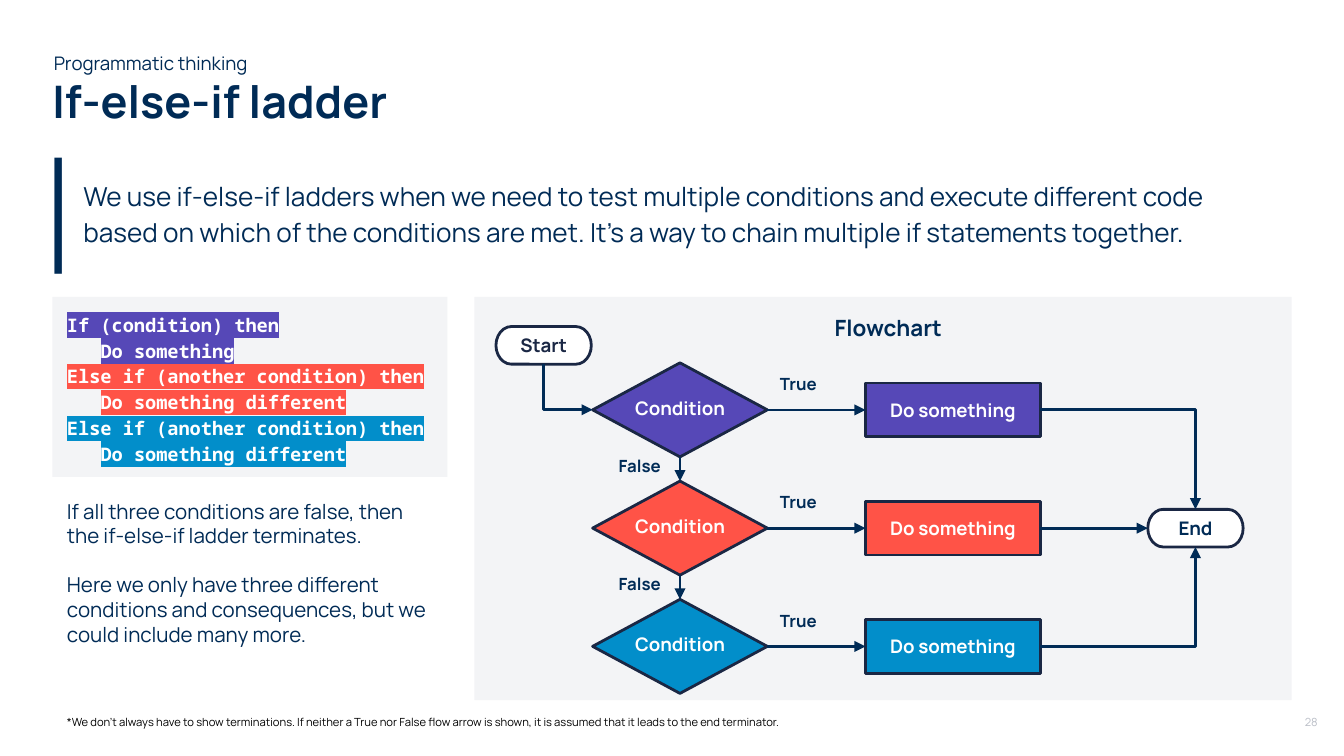
from pptx import Presentation
from pptx.dml.color import RGBColor
from pptx.enum.shapes import MSO_CONNECTOR as Route, MSO_SHAPE as Shape
from pptx.enum.text import MSO_ANCHOR as Anchor, MSO_AUTO_SIZE as AutoSize, PP_ALIGN as Align
from pptx.oxml.ns import qn
from pptx.util import Inches, Pt
from lxml.etree import SubElement

NAVY = RGBColor(0x00, 0x2B, 0x56)
INK = RGBColor(0x1A, 0x27, 0x44)
PURPLE = RGBColor(0x56, 0x48, 0xB7)
CORAL = RGBColor(0xFF, 0x53, 0x47)
BLUE = RGBColor(0x02, 0x8E, 0xCA)
PANEL = RGBColor(0xF3, 0xF4, 0xF6)
GREY = RGBColor(0xBA, 0xBE, 0xC7)
WHITE = RGBColor(0xFF, 0xFF, 0xFF)
BLACK = RGBColor(0x00, 0x00, 0x00)

TOP, LEFT, BOTTOM, RIGHT = range(4)
ROW_STEP = 0.88
ELSE_IF = "Else if (another condition) then\vDo something different"
CODE = [
    ("If (condition) then", PURPLE, -0.25),
    ("Do something", PURPLE, 0),
    (ELSE_IF, CORAL, -0.25),
    (ELSE_IF, BLUE, -0.25),
]


def write(frame, text, size=10, color=NAVY, bold=False, font="Manrope", align=Align.LEFT,
          spacing=1.0, before=0, after=0, margin=0, indent=0, highlight=None):
    paragraph = frame.paragraphs[0]
    if paragraph.runs:
        paragraph = frame.add_paragraph()
    paragraph.text = text
    paragraph.alignment = align
    paragraph.line_spacing = spacing
    paragraph.space_before, paragraph.space_after = Pt(before), Pt(after)
    properties = paragraph._p.get_or_add_pPr()
    properties.set("marL", str(Inches(margin)))
    properties.set("indent", str(Inches(indent)))
    SubElement(properties, qn("a:buNone"))
    for line_break in paragraph._p.findall(qn("a:br")):
        SubElement(line_break, qn("a:rPr")).set("sz", str(size * 100))
    for run in paragraph.runs:
        run.font.size, run.font.bold, run.font.name = Pt(size), bold, font
        run.font.color.rgb = color
        if highlight is not None:
            marker = SubElement(run._r.rPr, qn("a:highlight"))
            SubElement(marker, qn("a:srgbClr")).set("val", str(highlight))
            run._r.rPr.find(qn("a:solidFill")).addnext(marker)


def set_frame(frame, anchor=Anchor.TOP, insets=(0.1, 0.1, 0.1, 0.1)):
    frame.word_wrap = True
    frame.auto_size = AutoSize.NONE
    frame.vertical_anchor = anchor
    (frame.margin_left, frame.margin_top,
     frame.margin_right, frame.margin_bottom) = map(Inches, insets)
    return frame


def add_text(slide, box, anchor=Anchor.TOP, insets=(0.1, 0.1, 0.1, 0.1)):
    return set_frame(slide.shapes.add_textbox(*map(Inches, box)).text_frame, anchor, insets)


def fill_placeholder(placeholder, box, text, anchor, insets, **style):
    placeholder.left, placeholder.top, placeholder.width, placeholder.height = map(Inches, box)
    write(set_frame(placeholder.text_frame, anchor, insets), text, **style)


def add_block(slide, kind, box, fill, outline=None, text=None, color=WHITE):
    block = slide.shapes.add_shape(kind, *map(Inches, box))
    block.shadow.inherit = False
    block.fill.solid()
    block.fill.fore_color.rgb = fill
    if outline is None:
        block.line.fill.background()
    else:
        block.line.color.rgb = outline
        block.line.width = Pt(1.5)
    if text:
        frame = set_frame(block.text_frame, Anchor.MIDDLE)
        write(frame, text, color=color, bold=True, align=Align.CENTER)
    return block


def add_label(slide, box, text, size=9, color=NAVY):
    write(add_text(slide, box), text, size=size, color=color, bold=True, align=Align.CENTER)


def link(slide, start, start_side, end, end_side, bent=False, arrow="tailEnd"):
    route = Route.ELBOW if bent else Route.STRAIGHT
    flow = slide.shapes.add_connector(route, 0, 0, 0, 0)
    flow.begin_connect(start, start_side)
    flow.end_connect(end, end_side)
    flow.line.color.rgb = NAVY
    flow.line.width = Pt(1.5)
    properties = flow._element.spPr
    if bent:
        properties.find(qn("a:prstGeom")).set("prst", "bentConnector2")
    SubElement(properties.find(qn("a:ln")), qn(f"a:{arrow}")).set("type", "triangle")
    SubElement(properties, qn("a:effectLst"))


def add_heading(slide):
    subtitle, definition = list(slide.placeholders)[1:3]
    fill_placeholder(slide.shapes.title, (0.39, 0.55, 9.21, 0.39), "If-else-if ladder",
                     Anchor.TOP, (0, 0, 0, 0), size=24, bold=True)
    fill_placeholder(subtitle, (0.4, 0.39, 9.21, 0.16), "Programmatic thinking",
                     Anchor.MIDDLE, (0, 0.1, 0.1, 0.1))
    fill_placeholder(
        definition, (0.47, 1.14, 9.13, 0.87),
        "We use if-else-if ladders when we need to test multiple conditions and execute "
        "different code based on which of the conditions are met. It’s a way to chain "
        "multiple if statements together.",
        Anchor.MIDDLE, (0.15, 0.1, 0.1, 0.1), size=14, spacing=1.15, after=12)
    accent = add_text(slide, (0.32, 0.98, 0.2, 1.2), Anchor.MIDDLE, (0, 0.1, 0, 0.1))
    write(accent, "|", size=52, font="Inter")


def add_code(slide):
    add_block(slide, Shape.RECTANGLE, (0.39, 2.21, 2.94, 1.34), PANEL)
    listing = add_text(slide, (0.4, 2.21, 3.09, 1.34))
    for text, highlight, indent in CODE:
        write(listing, text, color=WHITE, bold=True, font="Noto Sans Mono",
              spacing=1.15, margin=0.25, indent=indent, highlight=highlight)


def add_explanation(slide):
    explanation = add_text(slide, (0.4, 3.61, 2.94, 1.31))
    write(explanation, "If all three conditions are false, then the if-else-if ladder terminates.",
          size=11)
    write(explanation, "Here we only have three different conditions and consequences, "
          "but we could include many more.", size=11, before=13)


def add_flowchart(slide):
    add_block(slide, Shape.RECTANGLE, (3.53, 2.21, 6.08, 3), PANEL)
    add_label(slide, (5.17, 2.24, 2.88, 0.4), "Flowchart", size=12)
    start = add_block(slide, Shape.FLOWCHART_TERMINATOR, (3.69, 2.43, 0.71, 0.28),
                      WHITE, INK, "Start", INK)
    end = add_block(slide, Shape.FLOWCHART_TERMINATOR, (8.54, 3.79, 0.71, 0.28),
                    WHITE, INK, "End", NAVY)
    conditions, actions = [], []
    for row, color in enumerate((PURPLE, CORAL, BLUE)):
        drop = row * ROW_STEP
        condition = add_block(slide, Shape.FLOWCHART_DECISION, (4.41, 2.7 + drop, 1.3, 0.7),
                              color, INK)
        action = add_block(slide, Shape.RECTANGLE, (6.44, 2.85 + drop, 1.3, 0.4),
                           color, INK, "Do something")
        add_label(slide, (4.47, 2.85 + drop, 1.18, 0.37), "Condition", size=10, color=WHITE)
        add_label(slide, (5.63, 2.68 + drop, 0.62, 0.35), "True")
        link(slide, condition, RIGHT, action, LEFT)
        if conditions:
            add_label(slide, (4.47, 2.41 + drop, 0.58, 0.35), "False")
            link(slide, conditions[-1], BOTTOM, condition, TOP)
        conditions.append(condition)
        actions.append(action)
    link(slide, conditions[0], LEFT, start, BOTTOM, bent=True, arrow="headEnd")
    link(slide, actions[0], RIGHT, end, TOP, bent=True)
    link(slide, actions[1], RIGHT, end, LEFT)
    link(slide, actions[2], RIGHT, end, BOTTOM, bent=True)


def add_footer(slide):
    write(add_text(slide, (0.4, 5.22, 9.21, 0.3)),
          "*We don’t always have to show terminations. If neither a True nor False flow arrow "
          "is shown, it is assumed that it leads to the end terminator.", size=6, color=BLACK)
    write(add_text(slide, (9.61, 5.22, 0.39, 0.28)), "28", size=6, color=GREY)


def main():
    deck = Presentation()
    deck.slide_width = Inches(10)
    deck.slide_height = deck.slide_width * 9 // 16
    slide = deck.slides.add_slide(deck.slide_layouts[3])
    add_heading(slide)
    add_code(slide)
    add_explanation(slide)
    add_flowchart(slide)
    add_footer(slide)
    deck.save("out.pptx")


if __name__ == "__main__":
    main()
